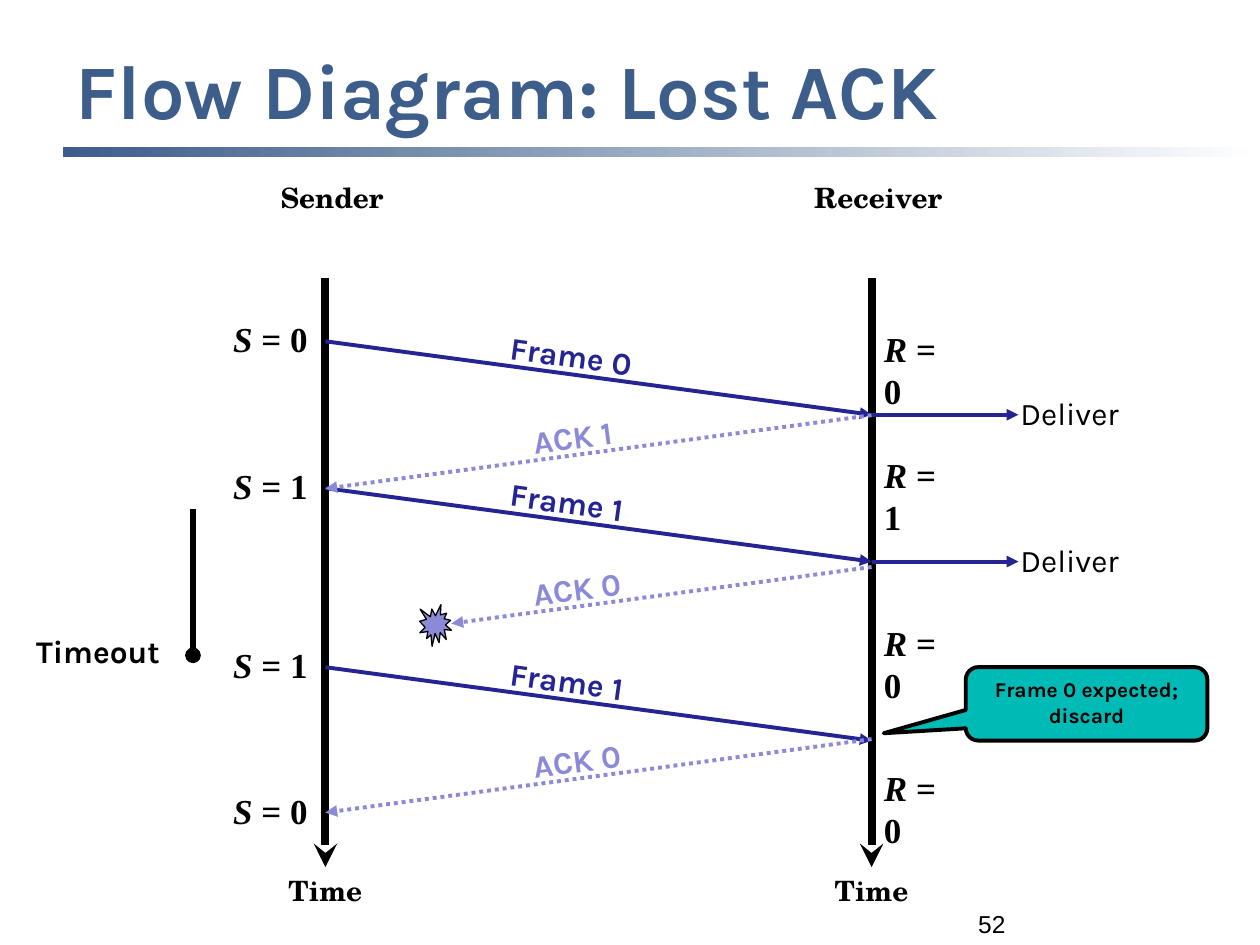
from lxml import etree
from pptx import Presentation
from pptx.dml.color import RGBColor
from pptx.enum.dml import MSO_LINE
from pptx.enum.shapes import MSO_CONNECTOR, MSO_SHAPE
from pptx.enum.text import MSO_ANCHOR, PP_ALIGN
from pptx.oxml.ns import qn
from pptx.util import Cm, Pt

LEFT, MID = PP_ALIGN.LEFT, PP_ALIGN.CENTER
TOP, CENTRE, BASE = MSO_ANCHOR.TOP, MSO_ANCHOR.MIDDLE, MSO_ANCHOR.BOTTOM
DOTS = MSO_LINE.ROUND_DOT
SANS, SERIF, MATH, PLAIN = "Karla", "TeX Gyre Schola", "Times New Roman", "Arial"
BLACK, WHITE, STEEL = "000000", "FFFFFF", "3D5D8B"
NAVY, LILAC, TEAL = "242492", "8A8AD8", "00BAB6"

# Content: heights are in cm down the slide
TITLE = "Flow Diagram: Lost ACK"
SEND, RECV = 6.56, 17.57          # x of the two time lines
DROP = 1.48                       # fall of a full message
HEADS = [("Sender", SEND + 0.13), ("Receiver", RECV + 0.13)]
FRAMES = [("Frame 0", 6.88), ("Frame 1", 9.84), ("Frame 1", 13.45)]
LOST = (9.1, 12.57)               # where the lost ACK stops
ACKS = [("ACK 1", 8.37, (SEND, 9.85)),
        ("ACK 0", 11.43, LOST),
        ("ACK 0", 14.9, (SEND, 16.38))]
SENT = [(0, 6.88), (1, 9.84), (1, 13.45), (0, 16.4)]
GOT = [(0, 6.48), (1, 9.02), (0, 12.4), (0, 15.32)]
PASSED = FRAMES[:2]               # frames handed on by the receiver

deck = Presentation()
deck.slide_width, deck.slide_height = Cm(25.4), Cm(19.05)
slide = deck.slides.add_slide(deck.slide_layouts[5])
shapes = slide.shapes


def color(code):
    return RGBColor.from_string(code)


def write(shape, runs, size, font, code=BLACK, bold=True, align=LEFT,
          anchor=TOP, wrap=True):
    """Fill a shape with one paragraph; runs are (text, italic) pairs."""
    frame = shape.text_frame
    frame.word_wrap, frame.vertical_anchor = wrap, anchor
    para = frame.paragraphs[0]
    para.alignment = align
    for text, slant in runs:
        run = para.add_run()
        run.text = text
        face = run.font
        face.name, face.size = font, Pt(size)
        face.bold, face.italic = bold, slant
        face.color.rgb = color(code)


def label(runs, x, y, w, h, size, font, turn=0, **style):
    if isinstance(runs, str):
        runs = [(runs, False)]
    box = shapes.add_textbox(Cm(x), Cm(y), Cm(w), Cm(h))
    box.rotation = turn
    write(box, runs, size, font, **style)


def line(start, end, code, width, tip, dash=None):
    wire = shapes.add_connector(MSO_CONNECTOR.STRAIGHT,
                                *(Cm(v) for v in (*start, *end)))
    wire.line.color.rgb, wire.line.width = color(code), Pt(width)
    if dash:
        wire.line.dash_style = dash
    stroke = wire.line._get_or_add_ln()
    etree.SubElement(stroke, qn("a:tailEnd"), type=tip)
    etree.SubElement(wire._element.spPr, qn("a:effectLst"))


def solid(kind, x, y, w, h, fill, width):
    shape = shapes.add_shape(kind, Cm(x), Cm(y), Cm(w), Cm(h))
    shape.shadow.inherit = False
    shape.fill.solid()
    shape.fill.fore_color.rgb = color(fill)
    shape.line.color.rgb, shape.line.width = color(BLACK), Pt(width)
    return shape


# Title, rule and page number
title = shapes.title
title.left, title.top, title.width, title.height = (
    Cm(v) for v in (1.27, 0.42, 22.86, 2.75))
write(title, [(TITLE, False)], 44, SANS, STEEL, anchor=CENTRE)
rule = shapes.add_shape(MSO_SHAPE.RECTANGLE, Cm(1.27), Cm(2.96), Cm(24.13), Cm(0.21))
rule.shadow.inherit = False
rule.line.fill.background()
rule.fill.gradient()
rule.fill.gradient_angle = 0
for stop, code, place in zip(rule.fill.gradient_stops, (STEEL, WHITE), (0, 1)):
    stop.color.rgb, stop.position = color(code), place
label("52", 19.47, 17.73, 5.93, 1.32, 14, PLAIN, bold=False, anchor=BASE)

# Time lines
for (name, mid), x in zip(HEADS, (SEND, RECV)):
    line((x, 5.61), (x, 17.48), BLACK, 4.5, "stealth")
    label(name, mid - 1.61, 3.51, 3.23, 0.91, 16, SERIF, align=MID)
    label("Time", x - 1.27, 17.48, 2.54, 0.91, 16, SERIF, align=MID)

# Frames and acknowledgements
for name, y in FRAMES:
    line((SEND, y), (RECV, y + DROP), NAVY, 2.25, "triangle")
    label(name, 10.03, y - 0.2, 3.38, 1.02, 18, SANS, 7.9, code=NAVY, wrap=False)
for name, y, end in ACKS:
    line((RECV, y), end, LILAC, 2.25, "triangle", DOTS)
    label(name, 10.49, y - 0.1, 2.59, 1.02, 18, SANS, -7.5, code=LILAC, wrap=False)
solid(MSO_SHAPE.EXPLOSION1, 8.46, 12.19, 0.64, 0.84, LILAC, 0.75)

# Frames delivered
for _, y in PASSED:
    y += DROP
    line((RECV, y), (20.53, y), NAVY, 2.25, "triangle")
    label("Deliver", 20.32, y - 0.54, 2.77, 1.02, 18, SANS, bold=False, wrap=False)

# State of each side
states = [("S", n, 4.45, y - 0.61) for n, y in SENT]
states += [("R", n, RECV, y) for n, y in GOT]
for sign, n, x, y in states:
    label([(sign, True), (f" = {n}", False)], x, y, 2.04, 1.09, 20, MATH, wrap=False)

# Timeout and note
line((3.89, 10.26), (3.89, 13.21), BLACK, 3, "oval")
label("Timeout", 0.48, 12.62, 3.43, 1.02, 18, SANS, wrap=False)
note = solid(MSO_SHAPE.ROUNDED_RECTANGULAR_CALLOUT, 19.47, 13.45, 4.87, 1.48, TEAL, 2.25)
for i, part in enumerate((-0.84, 0.4, 0.17)):
    note.adjustments[i] = part
write(note, [("Frame 0 expected; discard", False)], 12, SANS, align=MID)

deck.save("out.pptx")
